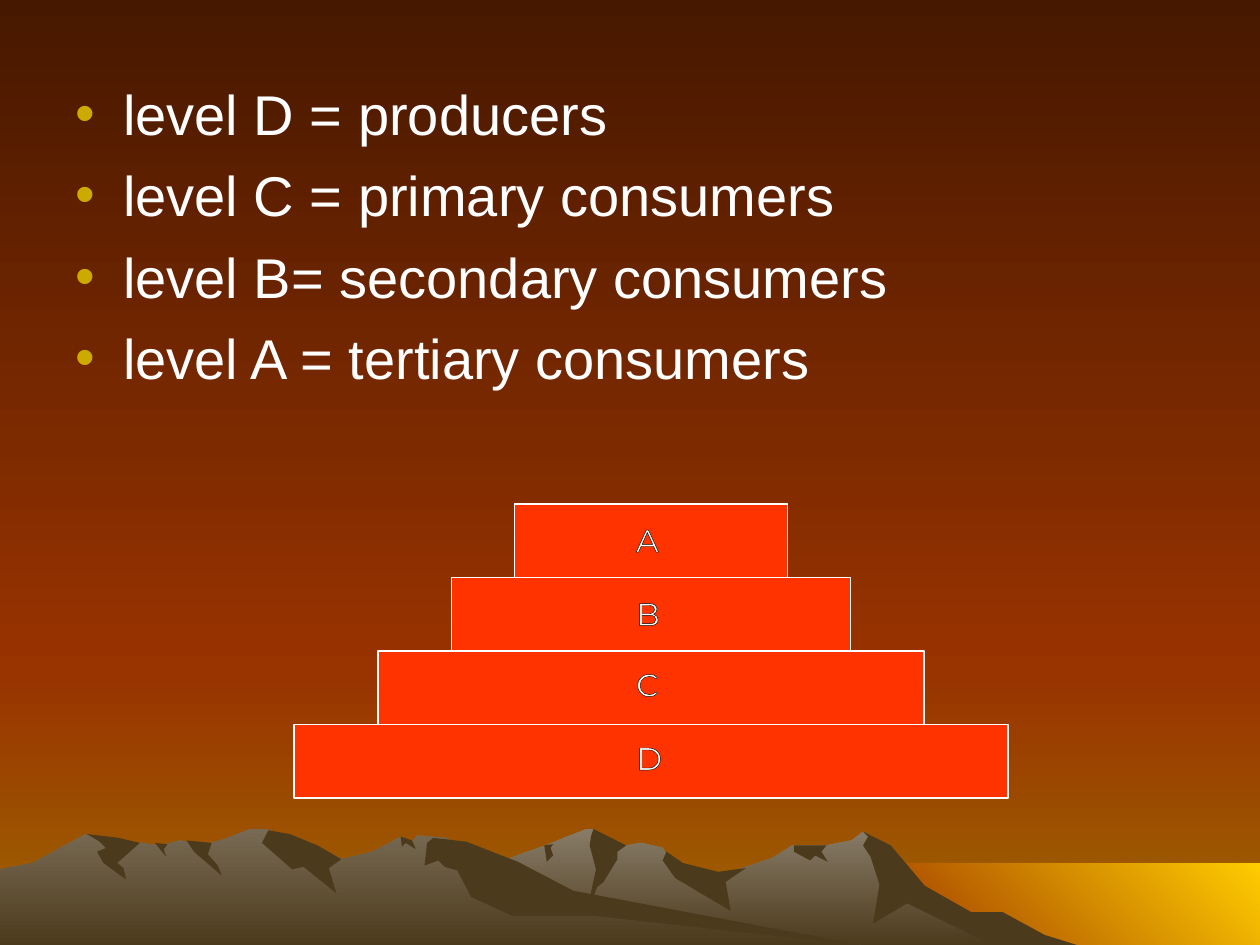
from lxml import etree
from pptx import Presentation
from pptx.dml.color import RGBColor
from pptx.enum.shapes import MSO_SHAPE
from pptx.oxml.ns import qn
from pptx.util import Inches, Pt

RECT = MSO_SHAPE.RECTANGLE
COLS, ROWS = 120, 90
WIDE, HIGH = Inches(10), Inches(7.5)
FINE = WIDE // 1000
FLOOR = 751
DOWN, RISE = 270, 45

HUES = {
    "dusk": "471800", "rust": "993300", "earth": "9E6600", "sun": "FFCC00",
    "pale": "887C68", "stone": "786A53", "shade": "4C3A1C", "tier": "FF3300",
    "dot": "CCAA00", "white": "FFFFFF", "black": "000000",
}

BANDS = [
    ((0, 64, 120, 26), ("rust", "earth"), DOWN),
    ((0, 0, 120, 64), ("dusk", "rust"), DOWN),
    ((82, 82.2, 38, 7.8), ("rust", "sun"), RISE),
]

FAR_LINE = [
    (258, FLOOR), (277, 739), (327, 709), (394, 685), (433, 671), (465, 658),
    (471, 658), (486, 673), (509, 669), (526, 673), (536, 690), (566, 697),
    (613, 681), (629, 671), (656, 671), (676, 667), (685, 660), (702, 671),
    (723, 698), (764, 723), (778, 727), (821, FLOOR),
]
FAR_FOLDS = {
    "east slope": [(685, 660), (707, 671), (734, 703), (771, 724), (796, 724),
                   (829, 742), (858, 751), (792, 752), (720, 717), (693, 733),
                   (698, 702), (691, 680), (685, 671), (689, 664)],
    "summit": [(471, 658), (497, 671), (490, 676), (490, 682), (479, 700),
               (474, 704), (465, 727), (473, 690), (468, 671), (469, 664)],
    "saddle": [(529, 676), (542, 685), (570, 692), (592, 689), (576, 700),
               (580, 723), (536, 697), (526, 683)],
    "notch": [(630, 671), (656, 671), (652, 676), (657, 684), (647, 679),
              (643, 683), (630, 676)],
    "cleft": [(432, 671), (439, 670), (437, 673), (439, 679), (434, 684)],
}

NEAR_LINE = [
    (0, 690), (26, 685), (46, 674), (68, 662), (94, 671), (111, 669),
    (128, 671), (143, 667), (160, 671), (178, 666), (198, 658), (212, 658),
    (223, 663), (236, 681), (260, 676), (271, 682), (296, 676), (318, 664),
    (327, 668), (331, 663), (354, 665), (432, 712), (667, 748), (690, FLOOR),
]
NEAR_FOLDS = {
    "summit": [(213, 659), (230, 662), (252, 671), (271, 682), (261, 689),
               (267, 709), (241, 688), (232, 690), (208, 669)],
    "long slope": [(344, 665), (370, 668), (411, 684), (455, 707), (683, 750),
                   (690, 751), (472, 727), (407, 727), (374, 712), (363, 691),
                   (353, 688), (348, 683), (337, 687), (339, 669)],
    "cleft": [(318, 664), (327, 667), (330, 674), (322, 669), (319, 672)],
    "gully": [(148, 667), (168, 669), (165, 678), (173, 687), (176, 695),
              (154, 676)],
    "notch": [(123, 669), (133, 670), (130, 674), (132, 680)],
    "west slope": [(69, 662), (94, 665), (111, 669), (93, 685), (98, 689),
                   (100, 698), (82, 685), (77, 676), (84, 673), (79, 668)],
}
RANGES = [(FAR_LINE, "pale", FAR_FOLDS), (NEAR_LINE, "stone", NEAR_FOLDS)]

LINES = [
    "level D = producers",
    "level C = primary consumers",
    "level B= secondary consumers",
    "level A = tertiary consumers",
]
TIERS = [("D", 28, 68, 0.75), ("C", 36, 52, 0.75), ("B", 43, 38, 1), ("A", 49, 26, 1)]
BASE, STEP = 69, 7


def hue(name):
    return RGBColor.from_string(HUES[name])


def cells(col, row, wide, high):
    across, down = WIDE / COLS, HIGH / ROWS
    return [round(size) for size in
            (col * across, row * down, wide * across, high * down)]


def paint(fill, names, angle=DOWN):
    if len(names) == 1:
        fill.solid()
        fill.fore_color.rgb = hue(names[0])
        return
    fill.gradient()
    fill.gradient_angle = angle
    for stop, name in zip(fill.gradient_stops, names):
        stop.color.rgb = hue(name)


def block(slide, area, names, angle=DOWN):
    form = slide.shapes.add_shape(RECT, *cells(*area))
    form.shadow.inherit = False
    form.line.fill.background()
    paint(form.fill, names, angle)
    return form


def trace(slide, points, names):
    first, *rest = points
    pen = slide.shapes.build_freeform(*first, scale=FINE)
    pen.add_line_segments(rest, close=True)
    form = pen.convert_to_shape()
    form.shadow.inherit = False
    form.line.fill.background()
    paint(form.fill, names)


def ridge(slide, skyline, light, folds):
    left, right = skyline[0][0], skyline[-1][0]
    floor = [(right, FLOOR), (left, FLOOR)]
    trace(slide, skyline + floor, (light, "shade"))
    for points in folds.values():
        trace(slide, points, ("shade",))


def write(para, text, size, face):
    run = para.add_run()
    run.text = text
    run.font.size = Pt(size)
    run.font.name = face
    run.font.color.rgb = hue("white")
    return run


def tint(node, name):
    etree.SubElement(node, qn("a:srgbClr"), val=HUES[name])


def dot(para):
    props = para._p.get_or_add_pPr()
    props.set("marL", str(Inches(0.38)))
    props.set("indent", str(-Inches(0.38)))
    tint(etree.SubElement(props, qn("a:buClr")), "dot")
    etree.SubElement(props, qn("a:buFont"), typeface="Arial")
    etree.SubElement(props, qn("a:buChar"), char="•")


def bullets(slide):
    frame = slide.shapes.add_textbox(*cells(6, 7, 108, 73)).text_frame
    frame.word_wrap = True
    for i, text in enumerate(LINES):
        para = frame.add_paragraph() if i else frame.paragraphs[0]
        dot(para)
        if i:
            para.space_before = Pt(8)
        write(para, text, 32, "Arial")


def tier(slide, row, col, wide):
    bar = block(slide, (col, row, wide, STEP), ("tier",))
    bar.line.color.rgb = hue("white")
    bar.line.width = Pt(0.75)


def label(slide, row, text):
    frame = slide.shapes.add_textbox(*cells(59.4, row, 4.7, 5.3)).text_frame
    frame.word_wrap = False
    run = write(frame.paragraphs[0], text, 18, "Montserrat")
    edge = etree.Element(qn("a:ln"), w=str(Pt(0.75)))
    tint(etree.SubElement(edge, qn("a:solidFill")), "black")
    run.font._element.insert(0, edge)


def stack(slide):
    rows = [BASE - i * STEP for i in range(len(TIERS))]
    for row, (_, col, wide, _) in zip(rows, TIERS):
        tier(slide, row, col, wide)
    for row, (name, _, _, drop) in reversed(list(zip(rows, TIERS))):
        label(slide, row + drop, name)


def main():
    deck = Presentation()
    deck.slide_width, deck.slide_height = WIDE, HIGH
    slide = deck.slides.add_slide(deck.slide_layouts[6])
    paint(slide.background.fill, ("dusk", "rust"))
    for band in BANDS:
        block(slide, *band)
    for chain in RANGES:
        ridge(slide, *chain)
    bullets(slide)
    stack(slide)
    deck.save("out.pptx")


if __name__ == "__main__":
    main()
